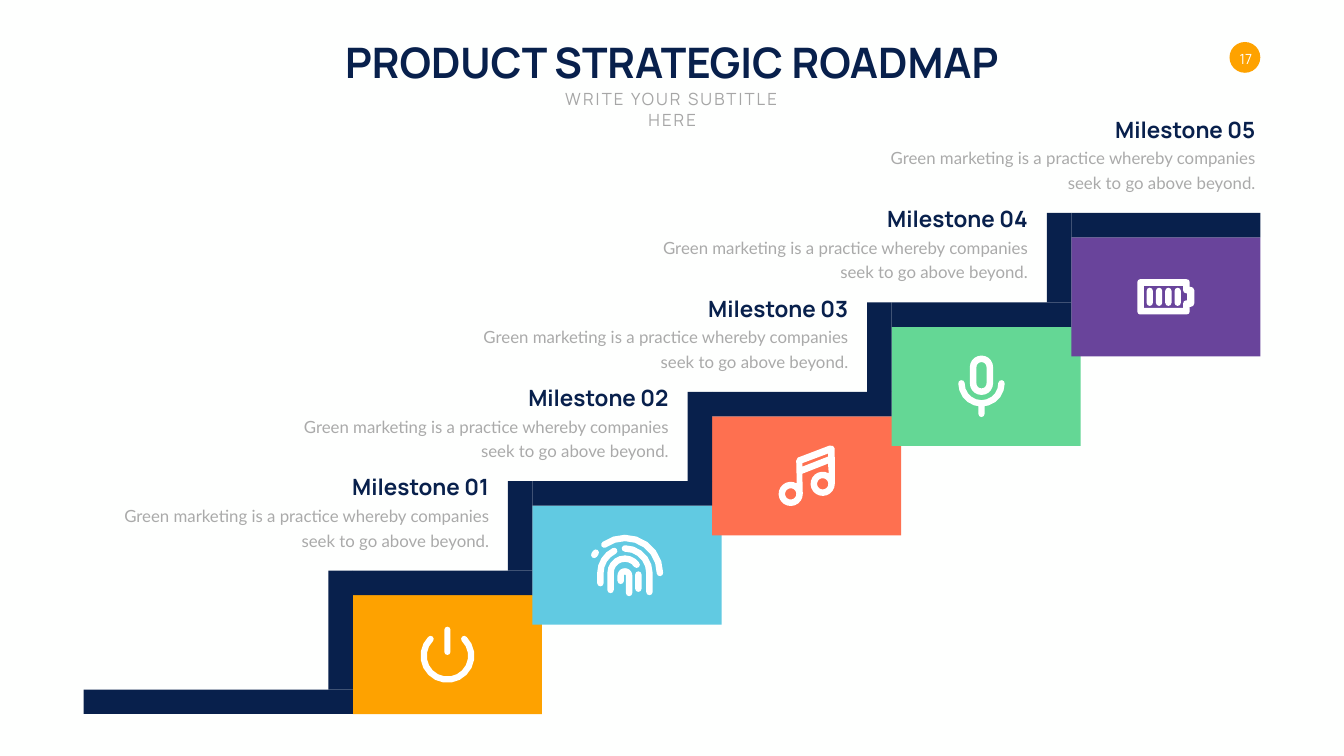
import math
from dataclasses import dataclass

from pptx import Presentation
from pptx import util as u
from pptx.dml.color import RGBColor
from pptx.enum import shapes, text


@dataclass(frozen=True)
class Theme:
    background: str = "FEFFFE"
    navy: str = "08204C"
    white: str = "FFFFFF"
    orange: str = "FEA200"
    subtitle: str = "A6A6A6"
    body: str = "AAAAAA"
    cards: tuple = ("FEA200", "61CAE2", "FE7050", "64D795", "69449B")
    heading_font: str = "Manrope"
    body_font: str = "Lato"
    title_size: float = 60
    milestone_size: float = 32
    body_size: float = 24
    number_size: float = 20


THEME = Theme()
LEFT, CENTER, RIGHT = text.PP_ALIGN.LEFT, text.PP_ALIGN.CENTER, text.PP_ALIGN.RIGHT
TOP, MIDDLE, BOTTOM = text.MSO_ANCHOR.TOP, text.MSO_ANCHOR.MIDDLE, text.MSO_ANCHOR.BOTTOM
CARD_WIDTH, CARD_HEIGHT = 270, 170
FIRST_LEFT, FIRST_TOP = 504, 850.3
STEP_X, STEP_Y = 256.5, 127.8
BAR = 35
MARGIN, RIGHT_EDGE = 119.5, 1800
TEXT_WIDTH, TEXT_TOP = 586, 712.8
HEADING_WIDTH = 225
DESCRIPTION = "Green marketing is a practice whereby companies seek to go above beyond."


def write(shape, content, size, color, font=THEME.heading_font, bold=False, align=LEFT,
          anchor=TOP, wrap=True, line_spacing=None, space_after=0, spacing=0, inset=None):
    frame = shape.text_frame
    frame.word_wrap = wrap
    frame.auto_size = text.MSO_AUTO_SIZE.SHAPE_TO_FIT_TEXT
    frame.vertical_anchor = anchor
    if inset is not None:
        frame.margin_left = frame.margin_right = u.Pt(inset)
        frame.margin_top = frame.margin_bottom = u.Pt(inset)
    paragraph = frame.paragraphs[0]
    paragraph.alignment = align
    paragraph.space_before = u.Pt(0)
    paragraph.space_after = u.Pt(space_after)
    if line_spacing:
        paragraph.line_spacing = u.Pt(line_spacing)
    run = paragraph.add_run()
    run.text = content
    run.font.name = font
    run.font.size = u.Pt(size)
    run.font.bold = bold
    run.font.color.rgb = RGBColor.from_string(color)
    if spacing:
        run._r.get_or_add_rPr().set("spc", str(spacing * 100))


def arc(x, y, radius, start, end):
    steps = max(1, round(abs(end - start) / (45 if radius < 6 else 18)))
    angles = [math.radians(start + (end - start) * k / steps) for k in range(steps + 1)]
    return [(x + radius * math.cos(a), y + radius * math.sin(a)) for a in angles]


def band(points, half):
    last = len(points) - 1
    angles = []
    for k in range(last + 1):
        (x1, y1), (x2, y2) = points[max(k - 1, 0)], points[min(k + 1, last)]
        angles.append(math.degrees(math.atan2(y2 - y1, x2 - x1)))

    def side(turn):
        inner = list(zip(points, angles))[1:-1]
        return [arc(x, y, half, a + turn, a + turn)[0] for (x, y), a in inner]

    end_cap = arc(*points[-1], half, angles[-1] - 90, angles[-1] + 90)
    start_cap = arc(*points[0], half, angles[0] + 90, angles[0] + 270)
    return side(-90) + end_cap + side(90)[::-1] + start_cap


def mirrored(points):
    return points + [(x, -y) for x, y in reversed(points)]


def power_icon():
    return [band(arc(0, 1.6, 34, -45, 225), 4.5), band([(0, -35.6), (0, -4)], 4.4)]


def fingerprint_icon():
    x, y = -3, 11
    strands = [
        [(16.2, 13.3), (16.2, 33.5)],
        [(-9, 22.3)] + arc(x, 14.8, 6, 180, 360) + [(3, 39.6)],
        [(-23.5, 35.3)] + arc(x, y, 20.5, 180, 325),
        [(-46.8, -14.8), (-44.6, -18)],
        [(-38, 25.6)] + arc(x, y, 35, 180, 244),
        arc(x, y, 35, 270, 360) + [(32, 38.2)],
        arc(x, y, 50, 234, 360),
    ]
    return [band(strand, 4.6) for strand in strands]


def music_icon():
    heads = [(-22.7, 25.9), (23, 11.5)]
    left, right = [arc(*head, 17.3, 0, 300) for head in heads]
    outline = [(-14.8, -21.6), (-12.6, -25.9), (32.8, -43.2), (37.8, -42.5), (40.2, -38.9)]
    outline += right + [(30.6, -17.3), (-6.1, -2.9)] + left
    beam = [(30.6, -31.7), (-6.1, -18), (-6.1, -13), (30.6, -27.4)]
    return [outline, beam] + [arc(*head, 8, 0, 360) for head in heads]


def microphone_icon():
    body = [(0, -27.4), (0, -4.3)]
    cup = band(arc(0, -4.3, 28.6, 180, 0), 4.6)
    stem = [(4.4, 28.6)] + arc(0, 39.5, 4.4, 0, 180) + [(-4.4, 28.6)]
    return [cup, stem, band(body, 16.6), band(body, 7.2)]


def battery_icon():
    shell = mirrored([(-40.7, -21), (-39.4, -24), (-37, -25.2), (29.5, -25.2), (33, -24),
                      (34.2, -20.9), (34.2, -14.4), (35.2, -14.4), (39, -13), (40.7, -9.4)])
    inside = mirrored([(-31.3, -15.8), (24.8, -15.8), (24.8, -9.4), (26, -6.3),
                       (29.2, -5), (30.6, -5)])
    bars = [band([(x, -8.5), (x, 8.5)], 4.5) for x in (-22.9, -9.6, 3.7, 17)]
    return [shell, inside] + bars


class SlideBuilder:
    def __init__(self, slide, theme):
        self.slide = slide
        self.theme = theme
        fill = slide.background.fill
        fill.solid()
        fill.fore_color.rgb = RGBColor.from_string(theme.background)

    def paint(self, shape, color):
        shape.shadow.inherit = False
        shape.fill.solid()
        shape.fill.fore_color.rgb = RGBColor.from_string(color)
        shape.line.fill.background()

    def block(self, left, top, width, height, color, kind=shapes.MSO_SHAPE.RECTANGLE, parent=None):
        owner = parent or self.slide
        shape = owner.shapes.add_shape(kind, u.Pt(left), u.Pt(top), u.Pt(width), u.Pt(height))
        self.paint(shape, color)

    def label(self, left, top, width, height, content, size, color, **style):
        box = self.slide.shapes.add_textbox(u.Pt(left), u.Pt(top), u.Pt(width), u.Pt(height))
        write(box, content, size, color, **style)

    def placeholder(self, index, left, top, width, height, content, size, color, **style):
        shape = self.slide.placeholders[index]
        shape.left, shape.top = u.Pt(left), u.Pt(top)
        shape.width, shape.height = u.Pt(width), u.Pt(height)
        write(shape, content, size, color, align=CENTER, **style)

    def icon(self, x, y, contours):
        outlines = [[(u.Pt(px), u.Pt(py)) for px, py in contour] for contour in contours]
        builder = self.slide.shapes.build_freeform(*outlines[0][0], scale=1.0)
        for number, outline in enumerate(outlines):
            if number:
                builder.move_to(*outline[0])
            builder.add_line_segments(outline[1:], close=True)
        self.paint(builder.convert_to_shape(u.Pt(x), u.Pt(y)), self.theme.white)

    def staircase(self, steps):
        group = self.slide.shapes.add_group_shape()
        navy = self.theme.navy
        self.block(MARGIN, 985, FIRST_LEFT - MARGIN, BAR, navy, parent=group)
        for number, (left, top) in enumerate(steps):
            width = CARD_WIDTH if number == len(steps) - 1 else STEP_X
            height = STEP_Y if number else CARD_HEIGHT
            self.block(left, top - BAR, width, BAR, navy, parent=group)
            self.block(left - BAR, top - BAR, BAR, height, navy, parent=group)

    def milestone(self, number, right, top):
        theme = self.theme
        self.label(right - HEADING_WIDTH, top - 40.3, HEADING_WIDTH, 46, f"Milestone {number:02}",
                   theme.milestone_size, theme.navy, bold=True, align=RIGHT, anchor=BOTTOM,
                   wrap=False)
        self.label(right - TEXT_WIDTH, top, TEXT_WIDTH, 74, DESCRIPTION, theme.body_size,
                   theme.body, font=theme.body_font, align=RIGHT, line_spacing=35, space_after=18)


def main():
    presentation = Presentation()
    presentation.slide_width, presentation.slide_height = u.Pt(1919.5), u.Pt(1080)
    slide = presentation.slides.add_slide(presentation.slide_layouts[0])
    page = SlideBuilder(slide, THEME)
    page.placeholder(0, 467.5, 48.2, 984, 80, "PRODUCT STRATEGIC ROADMAP",
                     THEME.title_size, THEME.navy, bold=True, wrap=False)
    page.placeholder(1, 764.6, 123.8, 391, 36, "WRITE YOUR SUBTITLE HERE",
                     THEME.body_size, THEME.subtitle, spacing=3)
    page.block(1756, 60, 44, 44, THEME.orange, kind=shapes.MSO_SHAPE.OVAL)
    page.label(1764.7, 71.3, 29.5, 24.5, "17", THEME.number_size, THEME.white,
               align=CENTER, anchor=MIDDLE, wrap=False, inset=0)

    steps = [(FIRST_LEFT + k * STEP_X, FIRST_TOP - k * STEP_Y) for k in range(5)]
    for (left, top), color in zip(steps, THEME.cards):
        page.block(left, top, CARD_WIDTH, CARD_HEIGHT, color)
    page.staircase(steps)

    icons = [power_icon(), fingerprint_icon(), music_icon(), microphone_icon(), battery_icon()]
    shifts = [0, 0, 0, -6.7, 0]
    for (left, top), contours, shift in zip(steps, icons, shifts):
        page.icon(left + CARD_WIDTH / 2 + shift, top + CARD_HEIGHT / 2, contours)

    for k in range(5):
        right = RIGHT_EDGE if k == 4 else MARGIN + TEXT_WIDTH + k * STEP_X
        page.milestone(k + 1, right, TEXT_TOP - k * STEP_Y)
    presentation.save("out.pptx")


if __name__ == "__main__":
    main()
